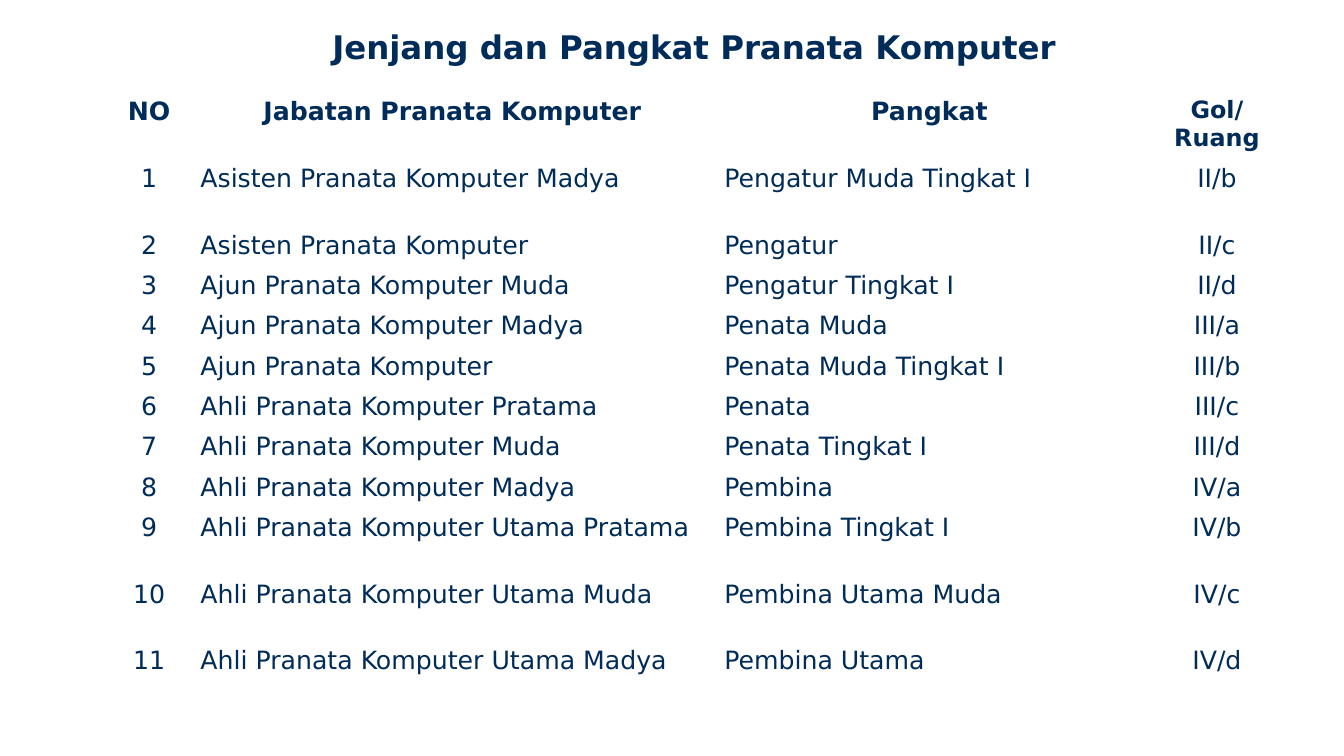
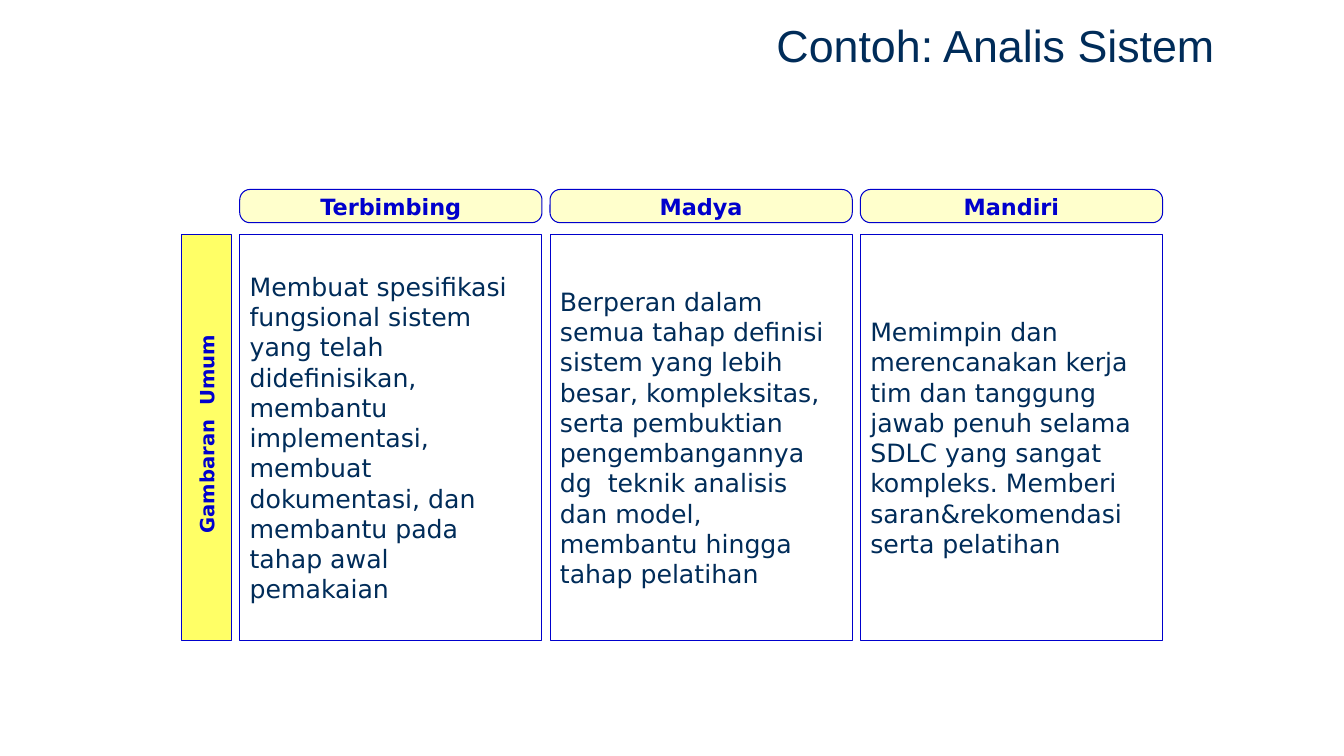
"""Build two slides on the ranks and roles of computer officers."""
from pptx import Presentation
from pptx.dml.color import RGBColor
from pptx.enum.shapes import MSO_SHAPE
from pptx.enum.text import MSO_ANCHOR, PP_ALIGN
from pptx.util import Emu, Pt

RECT, ROUND = MSO_SHAPE.RECTANGLE, MSO_SHAPE.ROUNDED_RECTANGLE
LEFT, CENTER = PP_ALIGN.LEFT, PP_ALIGN.CENTER
TOP, MIDDLE = MSO_ANCHOR.TOP, MSO_ANCHOR.MIDDLE
NAVY, BLUE, YELLOW, CREAM = "002C59", "0000CC", "FFFF66", "FFFFCC"
SANS, ARIAL = "DejaVu Sans", "Arial"

RANK_TITLE = "Jenjang dan Pangkat Pranata Komputer"
HEADERS = ["NO", "Jabatan Pranata Komputer", "Pangkat", "Gol/ Ruang"]
RANKS = [
    ("Asisten Pranata Komputer Madya", "Pengatur Muda Tingkat I", "II/b"),
    ("Asisten Pranata Komputer", "Pengatur", "II/c"),
    ("Ajun Pranata Komputer Muda", "Pengatur Tingkat I", "II/d"),
    ("Ajun Pranata Komputer Madya", "Penata Muda", "III/a"),
    ("Ajun Pranata Komputer", "Penata Muda Tingkat I", "III/b"),
    ("Ahli Pranata Komputer Pratama", "Penata", "III/c"),
    ("Ahli Pranata Komputer Muda", "Penata Tingkat I", "III/d"),
    ("Ahli Pranata Komputer Madya", "Pembina", "IV/a"),
    ("Ahli Pranata Komputer Utama Pratama", "Pembina Tingkat I", "IV/b"),
    ("Ahli Pranata Komputer Utama Muda", "Pembina Utama Muda", "IV/c"),
    ("Ahli Pranata Komputer Utama Madya", "Pembina Utama", "IV/d"),
]
COL_WIDTHS = [82, 520, 427, 144]
ROW_HEIGHTS = [67, 66] + [40] * 7 + [66] * 3
ALIGNS = [CENTER, LEFT, LEFT, CENTER]

ROLE_TITLE = "Contoh: Analis Sistem "
ROLE_LABEL = " Gambaran  Umum"
ROLES = [
    ("Terbimbing", "Membuat spesifikasi fungsional sistem yang telah didefinisikan, "
     "membantu implementasi, membuat dokumentasi, dan membantu pada tahap awal pemakaian"),
    ("Madya", "Berperan dalam semua tahap definisi sistem yang lebih besar, kompleksitas, "
     "serta pembuktian pengembangannya dg  teknik analisis dan model, "
     "membantu hingga tahap pelatihan"),
    ("Mandiri", "Memimpin dan merencanakan kerja tim dan tanggung jawab penuh selama SDLC "
     "yang sangat kompleks. Memberi saran&rekomendasi serta pelatihan"),
]
ROLE_LEFT, ROLE_WIDTH, ROLE_GAP = 238, 300, 8
HEAD_TOP, HEAD_HEIGHT = 188, 33
BODY_TOP, BODY_HEIGHT = 233, 402
LABEL_LEFT, LABEL_WIDTH = 180, 50


def px(n):
    return Emu(round(n * 9144))


def rgb(color):
    return RGBColor.from_string(color)


def write(tf, text, size=18, font=SANS, color=NAVY, bold=False, align=LEFT,
          anchor=MIDDLE, wrap=True):
    tf.word_wrap = wrap
    tf.vertical_anchor = anchor
    p = tf.paragraphs[0]
    p.alignment = align
    r = p.add_run()
    r.text = text
    r.font.size, r.font.name, r.font.bold = Pt(size), font, bold
    r.font.color.rgb = rgb(color)


def add_title(s, box, text, **fmt):
    write(s.shapes.add_textbox(*map(px, box)).text_frame, text, **fmt)


def add_box(s, kind, box, text, fill=None, **fmt):
    sp = s.shapes.add_shape(kind, *map(px, box))
    sp.shadow.inherit = False
    if fill:
        sp.fill.solid()
        sp.fill.fore_color.rgb = rgb(fill)
    else:
        sp.fill.background()
    sp.line.color.rgb = rgb(BLUE)
    sp.line.width = Pt(0.75)
    write(sp.text_frame, text, **fmt)
    return sp


def add_ranks(s):
    add_title(s, (320, 21, 1000, 50), RANK_TITLE, size=23.2, bold=True)
    rows = [HEADERS] + [(str(n), *rank) for n, rank in enumerate(RANKS, 1)]
    box = (107, 91, sum(COL_WIDTHS), sum(ROW_HEIGHTS))
    table = s.shapes.add_table(len(rows), len(HEADERS), *map(px, box)).table
    table.first_row = table.horz_banding = False
    for col, width in zip(table.columns, COL_WIDTHS):
        col.width = px(width)
    for i, (row, height) in enumerate(zip(rows, ROW_HEIGHTS)):
        table.rows[i].height = px(height)
        header = i == 0
        for j, text in enumerate(row):
            cell = table.cell(i, j)
            cell.fill.background()
            write(cell.text_frame, text, size=17 if header and j == 3 else 18,
                  bold=header, align=CENTER if header else ALIGNS[j], anchor=TOP)
            cell.vertical_anchor = TOP


def add_roles(s):
    add_title(s, (655, 4, 679, 80), ROLE_TITLE, size=32, font=ARIAL, align=CENTER)
    head = dict(color=BLUE, bold=True, align=CENTER, wrap=False)
    label_box = (LABEL_LEFT + (LABEL_WIDTH - BODY_HEIGHT) / 2,
                 BODY_TOP + (BODY_HEIGHT - LABEL_WIDTH) / 2, BODY_HEIGHT, LABEL_WIDTH)
    add_box(s, RECT, label_box, ROLE_LABEL, YELLOW, size=14, **head).rotation = 270
    for i, (name, duties) in enumerate(ROLES):
        x = ROLE_LEFT + i * (ROLE_WIDTH + ROLE_GAP)
        sp = add_box(s, ROUND, (x, HEAD_TOP, ROLE_WIDTH, HEAD_HEIGHT), name, CREAM,
                     size=16, **head)
        sp.adjustments[0] = 0.31
        add_box(s, RECT, (x, BODY_TOP, ROLE_WIDTH, BODY_HEIGHT), duties)


def main():
    prs = Presentation()
    prs.slide_width, prs.slide_height = px(1334), px(750)
    for build in (add_ranks, add_roles):
        build(prs.slides.add_slide(prs.slide_layouts[6]))
    prs.save("out.pptx")


if __name__ == "__main__":
    main()
